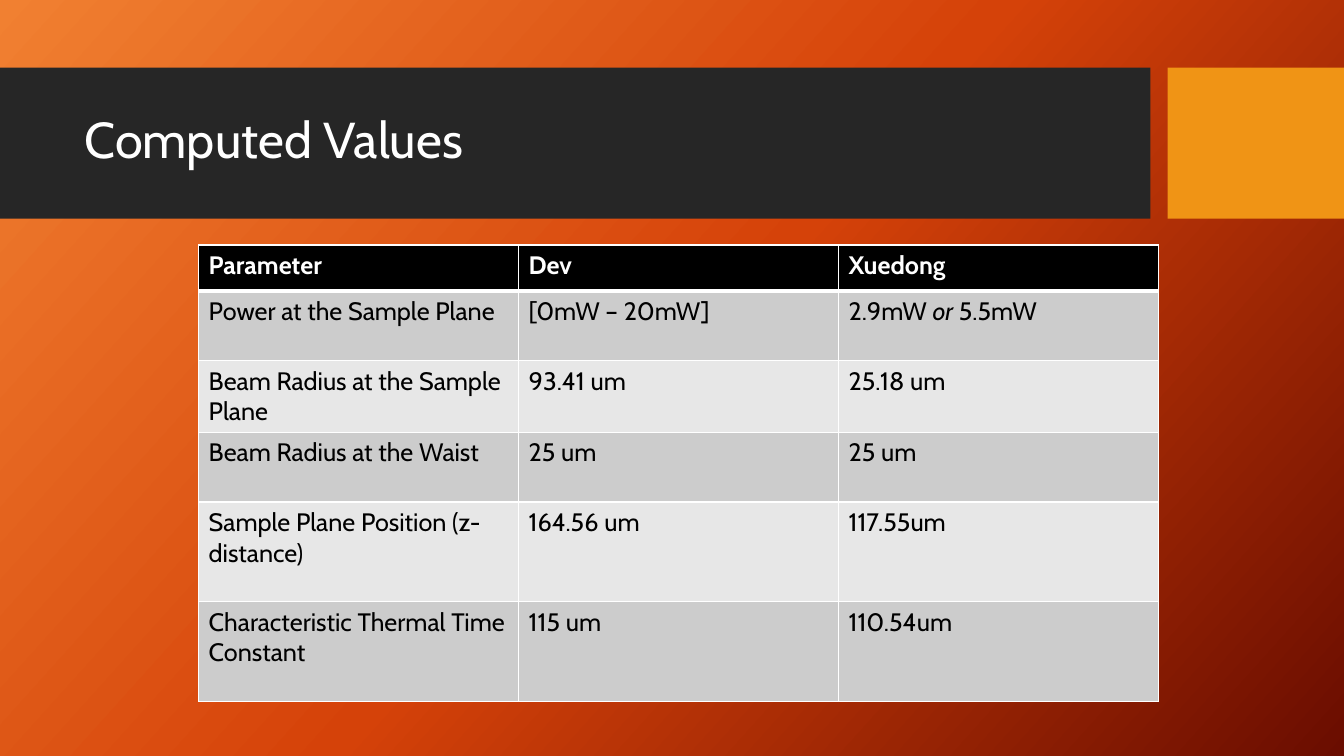
from copy import deepcopy

from lxml.etree import SubElement
from pptx import Presentation
from pptx.dml.color import RGBColor
from pptx.enum.shapes import MSO_SHAPE
from pptx.enum.text import MSO_ANCHOR, PP_ALIGN
from pptx.oxml.ns import qn
from pptx.util import Inches, Pt

FONT = "Cabin"
WHITE = RGBColor(0xFF, 0xFF, 0xFF)
BLACK = RGBColor(0x00, 0x00, 0x00)
CHARCOAL = RGBColor(0x26, 0x26, 0x26)
AMBER = RGBColor(0xF0, 0x94, 0x15)
DARK_BAND = RGBColor(0xCC, 0xCC, 0xCC)
LIGHT_BAND = RGBColor(0xE7, 0xE7, 0xE7)
BACKGROUND_STOPS = [
    (0, RGBColor(0xF1, 0x80, 0x31)),
    (0.5, RGBColor(0xD5, 0x42, 0x09)),
    (1, RGBColor(0x6A, 0x0D, 0x00)),
]

# Each cell is a list of runs; a run starting with "*" is italic
ROWS = [
    (0.46, ["Parameter"], ["Dev"], ["Xuedong"]),
    (0.69, ["Power at the Sample Plane"], ["[0mW – 20mW]"],
     ["2.9mW ", "*or", " 5.5mW"]),
    (0.69, ["Beam Radius at the Sample Plane"], ["93.41 um"], ["25.18 um"]),
    (0.69, ["Beam Radius at the Waist"], ["25 um"], ["25 um"]),
    (0.99, ["Sample Plane Position (z-distance)"], ["164.56 um"], ["117.55um"]),
    (0.99, ["Characteristic Thermal Time Constant"], ["115 um"], ["110.54um"]),
]


def format_font(font, color, **values):
    font.color.rgb = color
    for name, value in {"name": FONT, **values}.items():
        setattr(font, name, value)


def paint_background(slide):
    fill = slide.background.fill
    fill.gradient()
    fill.gradient_angle = 360 - 42
    # The default gradient has two stops; add the middle one
    first_stop = slide.element.xpath(".//a:gsLst/a:gs")[0]
    first_stop.addnext(deepcopy(first_stop))
    for stop, (position, color) in zip(fill.gradient_stops, BACKGROUND_STOPS):
        stop.position = position
        stop.color.rgb = color


def add_block(slide, left, top, width, height, color):
    block = slide.shapes.add_shape(
        MSO_SHAPE.RECTANGLE, *map(Inches, (left, top, width, height)))
    block.shadow.inherit = False
    block.fill.solid()
    block.fill.fore_color.rgb = color
    block.line.fill.background()
    # Keep the block behind the title
    slide.shapes.title.element.addprevious(block.element)


def add_title_band(slide, left, top, width, height, text):
    accent_width, gap = 1.75, 0.17
    band_width = width - accent_width - gap
    add_block(slide, left, top, band_width, height, CHARCOAL)
    add_block(slide, left + width - accent_width, top, accent_width, height, AMBER)

    title = slide.shapes.title
    box = {"left": left + 0.74, "top": top + 0.15,
           "width": band_width - 0.9, "height": 1.18}
    for name, value in box.items():
        setattr(title, name, Inches(value))
    title.text_frame.text = text
    title.text_frame.vertical_anchor = MSO_ANCHOR.MIDDLE
    paragraph = title.text_frame.paragraphs[0]
    paragraph.alignment = PP_ALIGN.LEFT
    paragraph.line_spacing = 0.9
    format_font(paragraph.runs[0].font, WHITE, size=Pt(36))


def set_borders(cell, top, bottom):
    properties = cell._tc.get_or_add_tcPr()
    for side, points in {"L": 1, "R": 1, "T": top, "B": bottom}.items():
        line = SubElement(properties, qn(f"a:ln{side}"), w=str(Pt(points)))
        solid = SubElement(line, qn("a:solidFill"))
        SubElement(solid, qn("a:srgbClr"), val=str(WHITE))


def fill_cell(cell, runs, row_index):
    header = row_index == 0
    set_borders(cell, top=3 if row_index == 1 else 1, bottom=3 if header else 1)
    cell.fill.solid()
    band = DARK_BAND if row_index % 2 else LIGHT_BAND
    cell.fill.fore_color.rgb = BLACK if header else band
    paragraph = cell.text_frame.paragraphs[0]
    for text in runs:
        run = paragraph.add_run()
        run.text = text.removeprefix("*")
        format_font(run.font, WHITE if header else BLACK, size=Pt(18),
                    bold=header, italic=text.startswith("*"))


def add_values_table(slide, left, top, width):
    column_count = len(ROWS[0]) - 1
    height = sum(row[0] for row in ROWS)
    table = slide.shapes.add_table(
        len(ROWS), column_count, *map(Inches, (left, top, width, height))).table
    for column in table.columns:
        column.width = Inches(width / column_count)
    for row_index, (row_height, *cells) in enumerate(ROWS):
        table.rows[row_index].height = Inches(row_height)
        for column_index, runs in enumerate(cells):
            fill_cell(table.cell(row_index, column_index), runs, row_index)


def main():
    presentation = Presentation()
    presentation.slide_width = Inches(13.33)
    presentation.slide_height = Inches(7.5)
    slide = presentation.slides.add_slide(presentation.slide_layouts[5])
    paint_background(slide)
    add_title_band(slide, 0, 0.67, 13.33, 1.5, "Computed Values")
    add_values_table(slide, 1.97, 2.43, 9.52)
    presentation.save("out.pptx")


if __name__ == "__main__":
    main()
